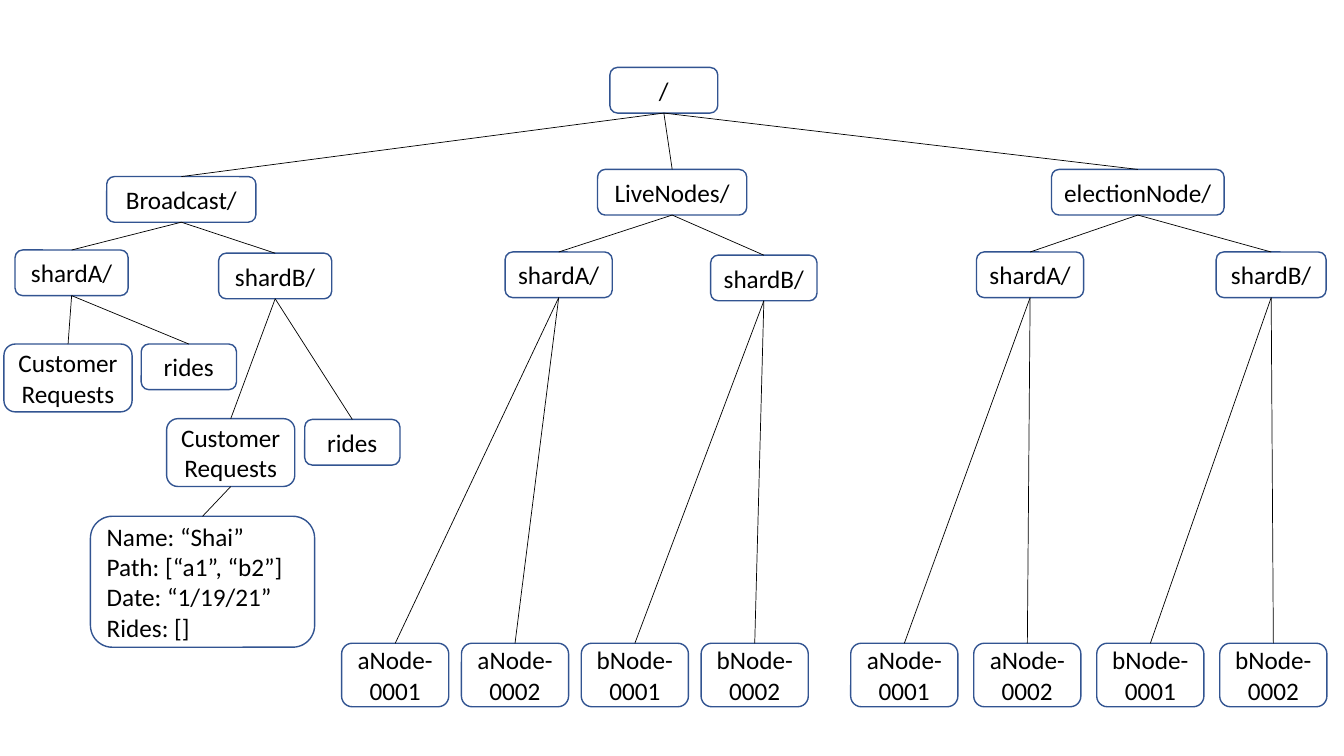
"""Build a slide showing the node tree of a ride dispatch service."""
import pptx
import pptx.dml.color
import pptx.enum.shapes
import pptx.enum.text
import pptx.oxml
import pptx.util

Cm = pptx.util.Cm
Pt = pptx.util.Pt
FOLDER_HEIGHT = 1.15
REQUESTS = "Customer\nRequests"
RECORD = "Name: “Shai”\nPath: [“a1”, “b2”]\nDate: “1/19/21”\nRides: []"


def set_color(color_format, hex_string):
    color_format.rgb = pptx.dml.color.RGBColor.from_string(hex_string)


presentation = pptx.Presentation()
presentation.slide_width = Cm(33.87)
presentation.slide_height = Cm(19.05)
slide = presentation.slides.add_slide(presentation.slide_layouts[6])

# Each node: parent, text, left, top, width, height
nodes = [
    ("", "/", 15.37, 1.7, 2.72, FOLDER_HEIGHT),
    ("/", "Broadcast/", 2.69, 4.45, 3.76, FOLDER_HEIGHT),
    ("/", "LiveNodes/", 15.06, 4.27, 3.76, FOLDER_HEIGHT),
    ("/", "electionNode/", 26.5, 4.27, 4.35, FOLDER_HEIGHT),
    ("/Broadcast/", "shardA/", 0.38, 6.3, 2.85, FOLDER_HEIGHT),
    ("/Broadcast/", "shardB/", 5.51, 6.38, 2.85, FOLDER_HEIGHT),
    ("/LiveNodes/", "shardA/", 12.73, 6.35, 2.7, FOLDER_HEIGHT),
    ("/LiveNodes/", "shardB/", 17.91, 6.43, 2.68, FOLDER_HEIGHT),
    ("/electionNode/", "shardA/", 24.61, 6.35, 2.7, FOLDER_HEIGHT),
    ("/electionNode/", "shardB/", 30.65, 6.35, 2.77, FOLDER_HEIGHT),
    ("/Broadcast/shardA/", REQUESTS, 0.1, 8.67, 3.23, 1.71),
    ("/Broadcast/shardA/", "rides", 3.56, 8.67, 2.4, FOLDER_HEIGHT),
    ("/Broadcast/shardB/", REQUESTS, 4.2, 10.55, 3.23, 1.71),
    ("/Broadcast/shardB/", "rides", 7.68, 10.57, 2.4, FOLDER_HEIGHT),
    ("/Broadcast/shardB/" + REQUESTS, RECORD, 2.28, 13.01, 5.65, 3.3),
]
for branch, first_left, step in (("LiveNodes", 8.61, 3.02), ("electionNode", 21.44, 3.1)):
    for index in range(4):
        shard = "AB"[index // 2]
        label = f"{shard.lower()}Node-000{index % 2 + 1}"
        nodes.append((f"/{branch}/shard{shard}/", label, first_left + index * step, 16.21, 2.7, 1.6))

boxes = {}
for parent, text, left, top, width, height in nodes:
    box = slide.shapes.add_shape(
        pptx.enum.shapes.MSO_SHAPE.ROUNDED_RECTANGLE, Cm(left), Cm(top), Cm(width), Cm(height)
    )
    box.shadow.inherit = False
    box.fill.background()
    set_color(box.line.color, "325491")
    box.line.width = Pt(1)
    box.text_frame.word_wrap = True
    box.text_frame.vertical_anchor = pptx.enum.text.MSO_ANCHOR.MIDDLE
    box.text_frame.text = text
    alignment = pptx.enum.text.PP_ALIGN
    for paragraph in box.text_frame.paragraphs:
        paragraph.alignment = alignment.LEFT if text == RECORD else alignment.CENTER
        for run in paragraph.runs:
            run.font.name = "Calibri"
            run.font.size = Pt(18)
            set_color(run.font.color, "000000")
    boxes[parent + text] = box

    if parent:
        connector = slide.shapes.add_connector(pptx.enum.shapes.MSO_CONNECTOR.STRAIGHT, 0, 0, 0, 0)
        connector.begin_connect(boxes[parent], 2)
        connector.end_connect(box, 0)
        set_color(connector.line.color, "000000")
        connector.line.width = Pt(0.5)
        properties = connector._element.spPr
        properties.append(pptx.oxml.parse_xml(
            '<a:effectLst xmlns:a="http://schemas.openxmlformats.org/drawingml/2006/main"/>'
        ))

presentation.save("out.pptx")
